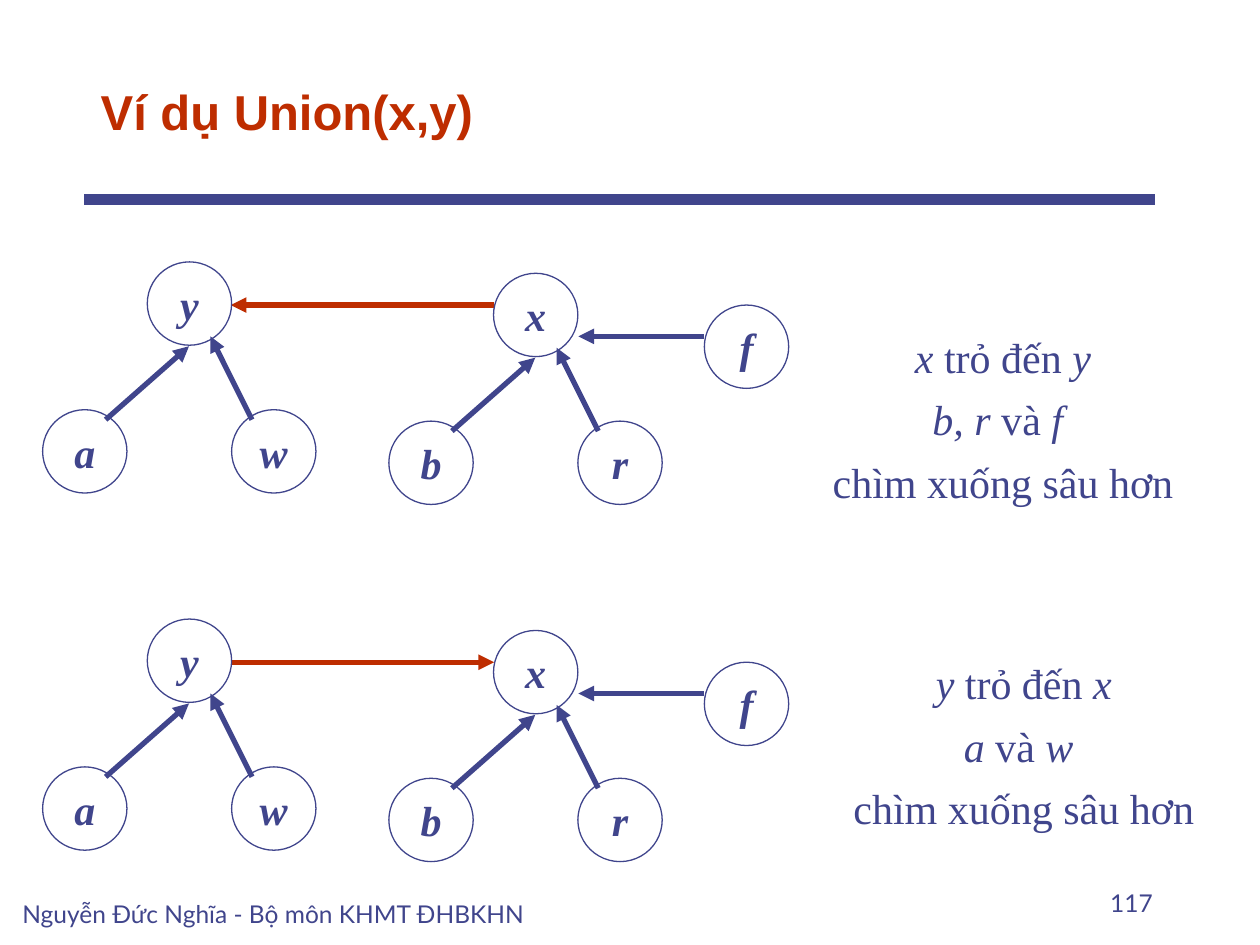
from lxml import etree
from pptx import Presentation
from pptx import util as u
from pptx.dml.color import RGBColor
from pptx.enum import shapes, text
from pptx.oxml.ns import qn

Cm, Pt = u.Cm, u.Pt
COLORS = {"blue": "40458C", "red": "BE2D00"}
SERIF = "Times New Roman"

prs = Presentation()
prs.slide_width, prs.slide_height = Cm(25.4), Cm(19.05)
s = prs.slides.add_slide(prs.slide_layouts[5])


def style(p, name, size, color="blue", align=text.PP_ALIGN.LEFT):
    p.alignment = align
    p.font.name, p.font.size = name, Pt(size)
    p.font.color.rgb = RGBColor.from_string(COLORS[color])


def add_line(x1, y1, x2, y2, color="blue", width=3, arrow=True):
    line = s.shapes.add_connector(
        shapes.MSO_CONNECTOR.STRAIGHT, Cm(x1), Cm(y1), Cm(x2), Cm(y2))
    line.line.color.rgb = RGBColor.from_string(COLORS[color])
    line.line.width = Pt(width)
    if arrow:
        etree.SubElement(line.line._get_or_add_ln(), qn("a:tailEnd"), type="triangle")
    etree.SubElement(line._element.spPr, qn("a:effectLst"))


# Title and rule
title = s.shapes.title
title.left, title.top, title.width, title.height = Cm(1.7), Cm(0.84), Cm(21.59), Cm(2.11)
tf = title.text_frame
tf.text = "Ví dụ Union(x,y)"
tf.vertical_anchor = text.MSO_ANCHOR.BOTTOM
tf.auto_size = text.MSO_AUTO_SIZE.NONE
tf.margin_left = Cm(0.33)
style(tf.paragraphs[0], "Arial", 28, "red")
tf.paragraphs[0].font.bold = True
add_line(1.7, 4.02, 23.29, 4.02, width=6, arrow=False)

# Two examples, one above the other: each has two trees and the node f
TREES = [("ayw", 0, 0), ("bxr", 6.98, 0.23)]
for dy, union in [(0, (9.96, 4.65)), (7.2, (4.65, 9.96))]:
    nodes = [("f", 14.2, 6.15 + dy)]
    for (left, root, right), tx, ty in TREES:
        ty += dy
        nodes += [(left, 0.86 + tx, 8.26 + ty), (root, 2.97 + tx, 5.28 + ty),
                  (right, 4.67 + tx, 8.26 + ty)]
        add_line(2.13 + tx, 8.46 + ty, 3.81 + tx, 6.98 + ty)
        add_line(5.08 + tx, 8.46 + ty, 4.24 + tx, 6.78 + ty)
    add_line(14.2, 6.78 + dy, 11.66, 6.78 + dy)
    add_line(union[0], 6.15 + dy, union[1], 6.15 + dy, "red")

    for label, x, y in nodes:
        sp = s.shapes.add_shape(shapes.MSO_SHAPE.OVAL, Cm(x), Cm(y), Cm(1.7), Cm(1.68))
        sp.shadow.inherit = False
        sp.fill.background()
        sp.line.color.rgb = RGBColor.from_string(COLORS["blue"])
        sp.line.width = Pt(0.75)
        tf = sp.text_frame
        tf.word_wrap = False
        tf.vertical_anchor = text.MSO_ANCHOR.MIDDLE
        p = tf.paragraphs[0]
        p.text = label
        style(p, SERIF, 24, align=text.PP_ALIGN.CENTER)
        p.font.bold = p.font.italic = True

# Captions: runs alternate between italic and upright, starting with italic
CAPTIONS = [
    (16.31, 6.55, 7.82, [("x", " trỏ đến ", "y"), ("b, r", " và ", "f ")]),
    (16.51, 13.13, 8.26, [("y", " trỏ đến ", "x"), ("a", " và ", "w ")]),
]
for x, y, width, lines in CAPTIONS:
    tf = s.shapes.add_textbox(Cm(x), Cm(y), Cm(width), Cm(3.76)).text_frame
    tf.word_wrap = True
    for i, runs in enumerate(lines + [("", "chìm xuống sâu hơn")]):
        p = tf.add_paragraph() if i else tf.paragraphs[0]
        style(p, SERIF, 24, align=text.PP_ALIGN.CENTER)
        if i:
            p.space_before = Pt(7)
        for j, words in enumerate(runs):
            if words:
                r = p.add_run()
                r.text = words
                r.font.italic = j % 2 == 0

# Footer and page number
for words, x, y, width, align in [
    ("Nguyễn Đức Nghĩa - Bộ môn KHMT ĐHBKHN", 0.2, 17.58, 11.86, text.PP_ALIGN.LEFT),
    ("117", 18.21, 17.35, 5.28, text.PP_ALIGN.RIGHT),
]:
    tf = s.shapes.add_textbox(Cm(x), Cm(y), Cm(width), Cm(1.27)).text_frame
    tf.word_wrap = True
    tf.vertical_anchor = text.MSO_ANCHOR.BOTTOM
    tf.text = words
    style(tf.paragraphs[0], "Lato", 14, align=align)

prs.save("out.pptx")
